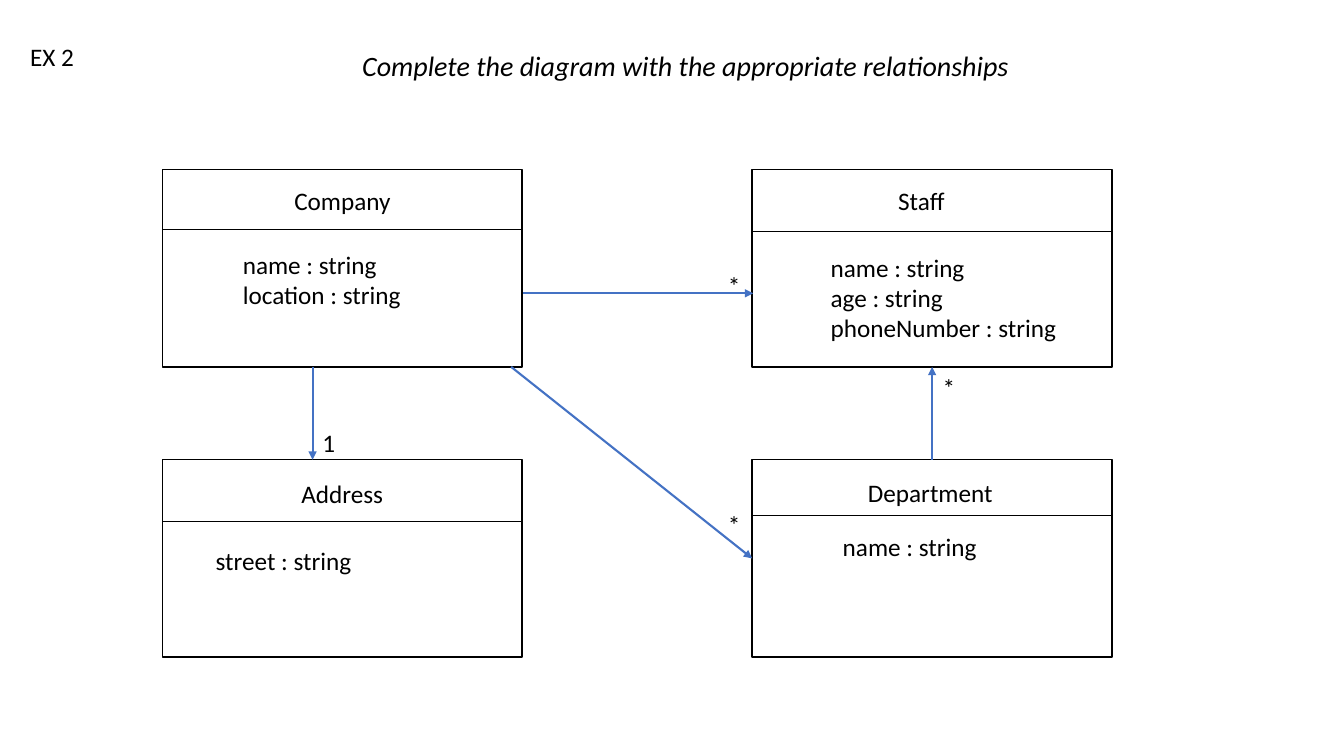
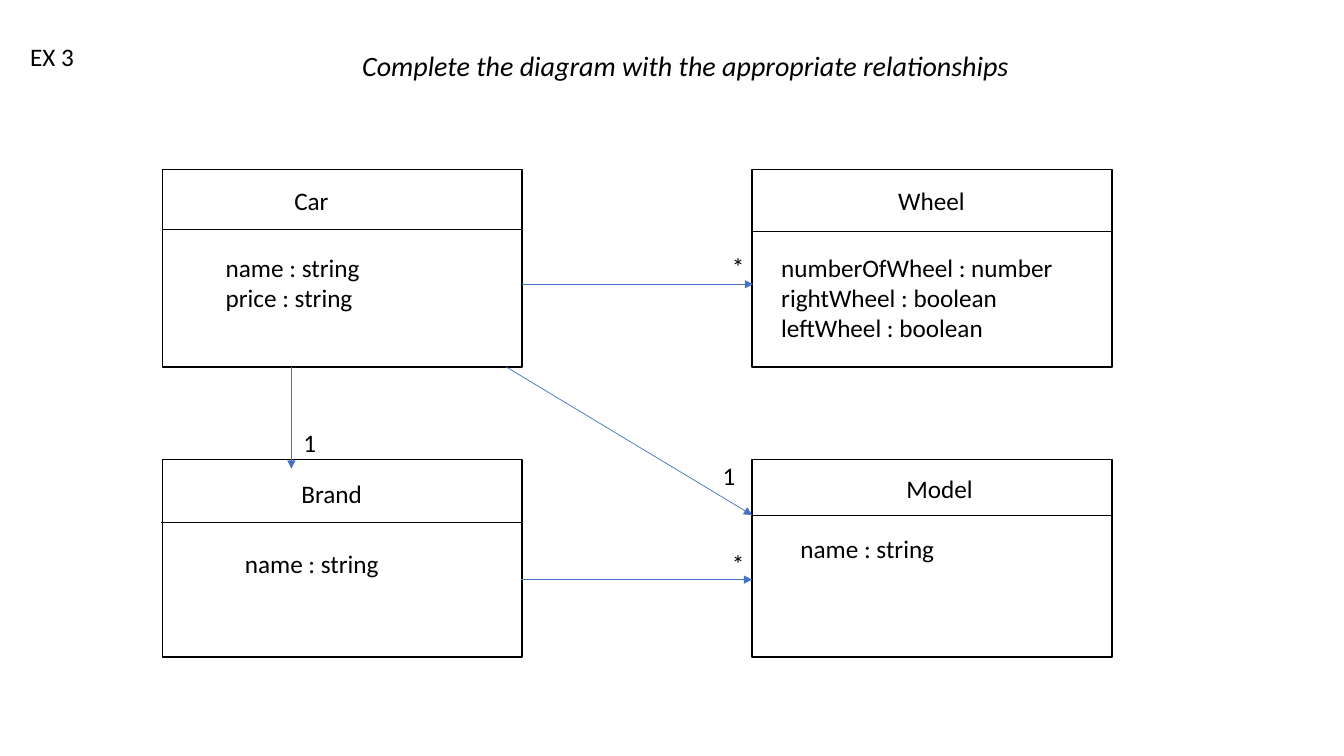
from lxml.etree import SubElement
from pptx import Presentation
from pptx.dml.color import RGBColor
from pptx.enum.shapes import MSO_CONNECTOR, MSO_SHAPE
from pptx.enum.text import MSO_ANCHOR, MSO_AUTO_SIZE, PP_ALIGN
from pptx.oxml.ns import qn
from pptx.util import Emu, Pt

EMU_PER_PX = 9144


def px(length):
    return Emu(length * EMU_PER_PX)


def color(hex_code):
    return RGBColor.from_string(hex_code)


class Diagram:
    FONT = "Calibri"
    INK = "000000"
    PAPER = "FFFFFF"
    ARROW = "4472C4"
    COLUMNS = (161, 746)
    ROWS = (168, 456)
    BOX_WIDTH, BOX_HEIGHT = 357, 196
    TEXT_SIZE, TITLE_SIZE = 18, 20
    LINE_HEIGHT, TEXT_PADDING = 30, 10

    def __init__(self):
        self.deck = Presentation()
        self.deck.slide_width, self.deck.slide_height = px(1333), px(750)
        self.page = None

    def add_page(self, exercise, title):
        self.page = self.deck.slides.add_slide(self.deck.slide_layouts[5])
        box = self.page.shapes.title
        box.left, box.top, box.width, box.height = px(319), px(43), px(722), px(44)
        frame = box.text_frame
        frame.word_wrap = True
        frame.auto_size = MSO_AUTO_SIZE.SHAPE_TO_FIT_TEXT
        frame.vertical_anchor = MSO_ANCHOR.TOP
        para = frame.paragraphs[0]
        para.alignment = PP_ALIGN.CENTER
        para.line_spacing = 1.0
        self.span(para, title, self.TITLE_SIZE, italic=True)
        self.text([exercise], 20, 36, 70, wrap=False)

    def span(self, para, text, size, italic=False):
        span = para.add_run()
        span.text = text
        span.font.name = self.FONT
        span.font.size = Pt(size)
        span.font.italic = italic
        span.font.color.rgb = color(self.INK)

    def text(self, lines, left, top, width, wrap=True):
        height = self.TEXT_PADDING + self.LINE_HEIGHT * len(lines)
        box = self.page.shapes.add_textbox(px(left), px(top), px(width), px(height))
        frame = box.text_frame
        frame.word_wrap = wrap
        frame.auto_size = MSO_AUTO_SIZE.SHAPE_TO_FIT_TEXT
        for index, line in enumerate(lines):
            para = frame.add_paragraph() if index else frame.paragraphs[0]
            self.span(para, line, self.TEXT_SIZE)

    def line(self, start, end, line_color, weight):
        line = self.page.shapes.add_connector(
            MSO_CONNECTOR.STRAIGHT, *map(px, start + end))
        line.line.color.rgb = color(line_color)
        line.line.width = Pt(weight)
        SubElement(line._element.spPr, qn("a:effectLst"))
        return line

    def arrow(self, start, end, weight):
        arrow = self.line(start, end, self.ARROW, weight)
        SubElement(arrow.line._get_or_add_ln(), qn("a:tailEnd"), type="triangle")
        return arrow

    def class_box(self, column, row, name, name_at, divider_at, attributes, attributes_at):
        box = self.page.shapes.add_shape(
            MSO_SHAPE.RECTANGLE, px(self.COLUMNS[column]), px(self.ROWS[row]),
            px(self.BOX_WIDTH), px(self.BOX_HEIGHT))
        box.shadow.inherit = False
        box.fill.solid()
        box.fill.fore_color.rgb = color(self.PAPER)
        box.line.color.rgb = color(self.INK)
        box.line.width = Pt(1)
        left, top = divider_at
        self.line((left, top), (left + self.BOX_WIDTH, top), self.INK, 0.5)
        self.text([name], *name_at, 152)
        self.text(attributes, *attributes_at, 298 if column else 249)
        return box

    def multiplicity(self, text, left, top):
        self.text([text], left, top, 50)


def company_page(diagram, title):
    diagram.add_page("EX 2", title)
    diagram.class_box(0, 0, "Company", (282, 179), (161, 228),
                      ["name : string", "location : string"], (231, 242))
    staff = diagram.class_box(1, 0, "Staff", (881, 179), (747, 230),
                              ["name : string", "age : string", "phoneNumber : string"],
                              (814, 245))
    diagram.class_box(0, 1, "Address", (289, 470), (161, 517),
                      ["street : string"], (204, 536))
    department = diagram.class_box(1, 1, "Department", (851, 469), (746, 511),
                                   ["name : string"], (826, 522))
    weight = 1.5
    diagram.arrow((519, 291), (747, 291), weight)
    diagram.arrow((310, 364), (310, 456), weight)
    to_department = diagram.arrow((507, 364), (746, 554), weight)
    to_department.end_connect(department, 1)
    to_staff = diagram.arrow((924, 456), (924, 364), weight)
    to_staff.begin_connect(department, 0)
    to_staff.end_connect(staff, 2)
    for label in (("*", 712, 263), ("1", 310, 419), ("*", 712, 500), ("*", 925, 364)):
        diagram.multiplicity(*label)


def car_page(diagram, title):
    diagram.add_page("EX 3", title)
    diagram.class_box(0, 0, "Car", (282, 179), (161, 228),
                      ["name : string", "price : string"], (214, 245))
    diagram.class_box(1, 0, "Wheel", (881, 179), (747, 230),
                      ["numberOfWheel : number", "rightWheel : boolean",
                       "leftWheel : boolean"], (765, 245))
    diagram.class_box(0, 1, "Brand", (289, 470), (160, 518),
                      ["name : string"], (233, 539))
    diagram.class_box(1, 1, "Model", (889, 465), (746, 511),
                      ["name : string"], (784, 524))
    for start, end in (((518, 282), (747, 282)), ((289, 364), (289, 465)),
                       ((502, 364), (746, 511)), ((517, 575), (746, 575))):
        diagram.arrow(start, end, 0.5)
    for label in (("*", 716, 244), ("1", 291, 419), ("1", 707, 452), ("*", 716, 539)):
        diagram.multiplicity(*label)


def main():
    diagram = Diagram()
    title = "Complete the diagram with the appropriate relationships"
    company_page(diagram, title)
    car_page(diagram, title)
    diagram.deck.save("out.pptx")


if __name__ == "__main__":
    main()
